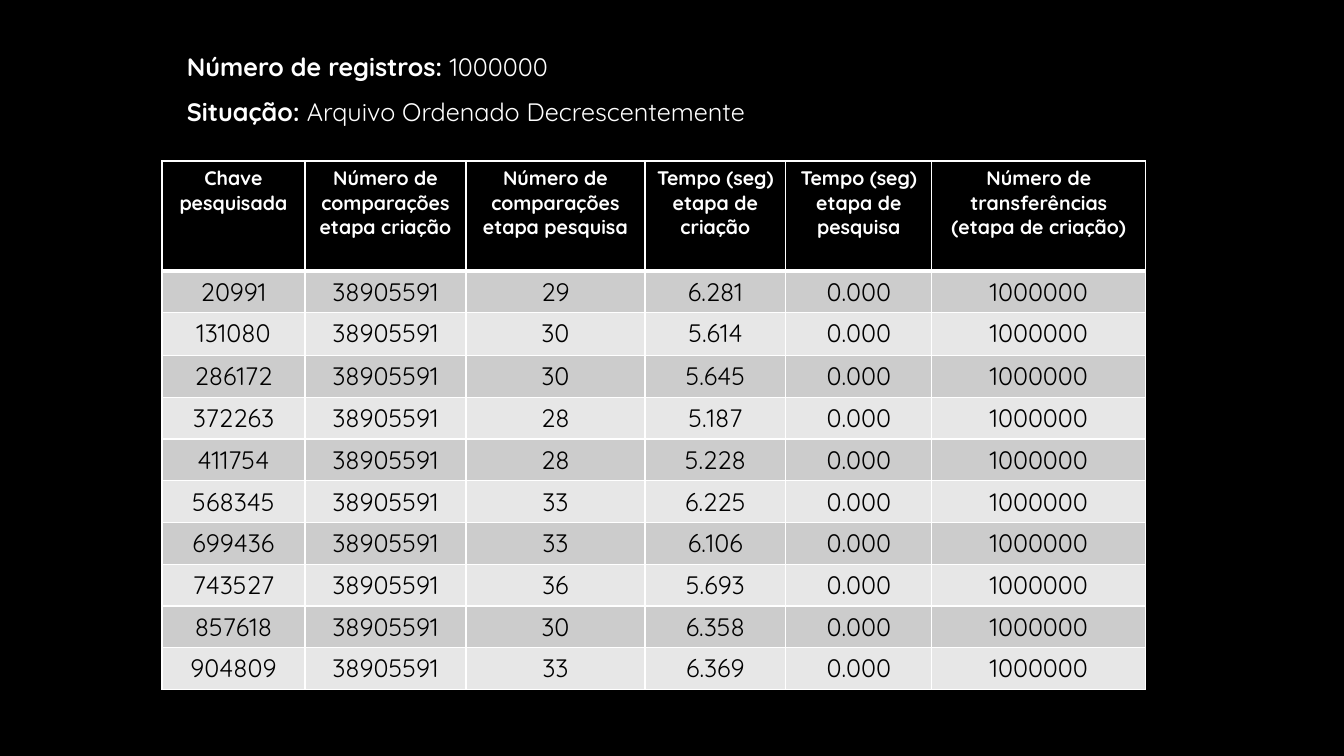
from lxml.etree import SubElement
from pptx import Presentation
from pptx.dml.color import RGBColor
from pptx.enum.text import MSO_AUTO_SIZE, PP_ALIGN
from pptx.oxml.ns import qn
from pptx.util import Emu, Pt

WIDTH, HEIGHT = 1344, 756
SCALE = 12192000 / WIDTH
FONT = "Quicksand"
BLACK, WHITE = "000000", "FFFFFF"
BANDS = ["CCCCCC", "E7E7E7"]

FACTS = [
    ("Número de registros: ", "1000000"),
    ("Situação: ", "Arquivo Ordenado Decrescentemente"),
]
FACTS_BOX = (177, 31, 628, 102)

COLUMNS = [
    ("Chave pesquisada", 143),
    ("Número de comparações etapa criação", 161),
    ("Número de comparações etapa pesquisa", 179),
    ("Tempo (seg) etapa de criação", 141),
    ("Tempo (seg) etapa de pesquisa", 146),
    ("Número de transferências (etapa de criação)", 214),
]
BUILD, SEEK, MOVES = "38905591", "0.000", "1000000"
# Key, comparisons while searching, seconds to build
RUNS = [
    ("20991", "29", "6.281"),
    ("131080", "30", "5.614"),
    ("286172", "30", "5.645"),
    ("372263", "28", "5.187"),
    ("411754", "28", "5.228"),
    ("568345", "33", "6.225"),
    ("699436", "33", "6.106"),
    ("743527", "36", "5.693"),
    ("857618", "30", "6.358"),
    ("904809", "33", "6.369"),
]
LEFT, TOP = 162, 161
HEIGHTS = [110, 41, 43] + [41] * 8


def px(count):
    return Emu(round(count * SCALE))


def paint(hue):
    return RGBColor.from_string(hue)


def style(font, size, hue):
    font.name = FONT
    font.size = Pt(size)
    font.color.rgb = paint(hue)


def border(cell, top, bottom):
    """Draw white cell edges; top and bottom widths are in points."""
    props = cell._tc.get_or_add_tcPr()
    for side, width in (("L", 1), ("R", 1), ("T", top), ("B", bottom)):
        line = SubElement(props, qn(f"a:ln{side}"), w=str(Pt(width)))
        fill = SubElement(line, qn("a:solidFill"))
        SubElement(fill, qn("a:srgbClr"), val=WHITE)


def add_facts(slide):
    box = slide.shapes.add_textbox(*map(px, FACTS_BOX))
    frame = box.text_frame
    frame.word_wrap = False
    frame.auto_size = MSO_AUTO_SIZE.SHAPE_TO_FIT_TEXT
    for i, (label, value) in enumerate(FACTS):
        para = frame.add_paragraph() if i else frame.paragraphs[0]
        para.line_spacing = 1.5
        style(para.font, 18, WHITE)
        for text, bold in ((label, True), (value, False)):
            run = para.add_run()
            run.text = text
            run.font.bold = bold


def fill_cell(cell, text, row):
    head = row == 0
    cell.text = text
    para = cell.text_frame.paragraphs[0]
    para.alignment = PP_ALIGN.CENTER
    style(para.font, 14 if head else 18, WHITE if head else BLACK)
    para.font.bold = head
    border(cell, 3 if row == 1 else 1, 3 if head else 1)
    cell.fill.solid()
    cell.fill.fore_color.rgb = paint(BLACK if head else BANDS[(row - 1) % 2])


def add_results(slide):
    heads, widths = zip(*COLUMNS)
    rows = [heads]
    rows += [(key, BUILD, found, time, SEEK, MOVES) for key, found, time in RUNS]
    area = (LEFT, TOP, sum(widths), sum(HEIGHTS))
    table = slide.shapes.add_table(len(rows), len(heads), *map(px, area)).table
    for column, width in zip(table.columns, widths):
        column.width = px(width)
    for r, texts in enumerate(rows):
        table.rows[r].height = px(HEIGHTS[r])
        for c, text in enumerate(texts):
            fill_cell(table.cell(r, c), text, r)


def main():
    deck = Presentation()
    deck.slide_width, deck.slide_height = px(WIDTH), px(HEIGHT)
    slide = deck.slides.add_slide(deck.slide_layouts[6])
    back = slide.background.fill
    back.solid()
    back.fore_color.rgb = paint(BLACK)
    add_results(slide)
    add_facts(slide)
    deck.save("out.pptx")


if __name__ == "__main__":
    main()
